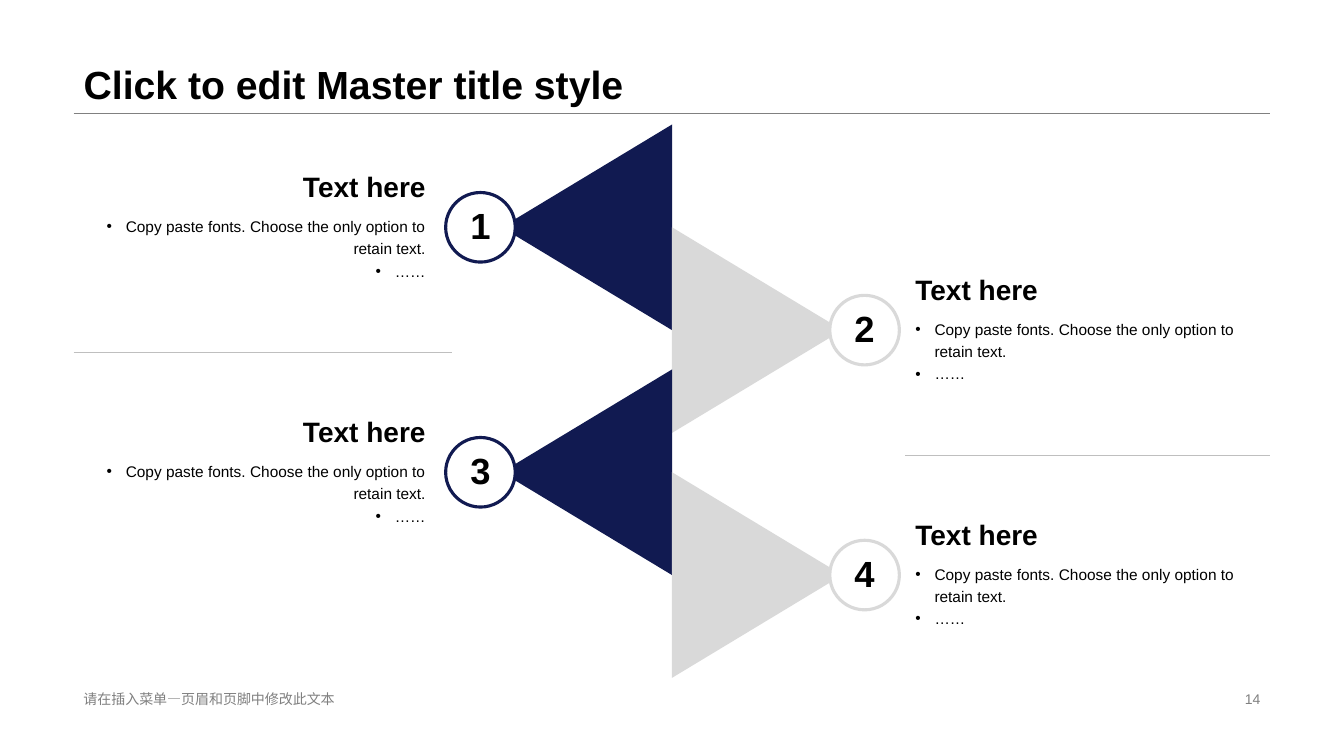
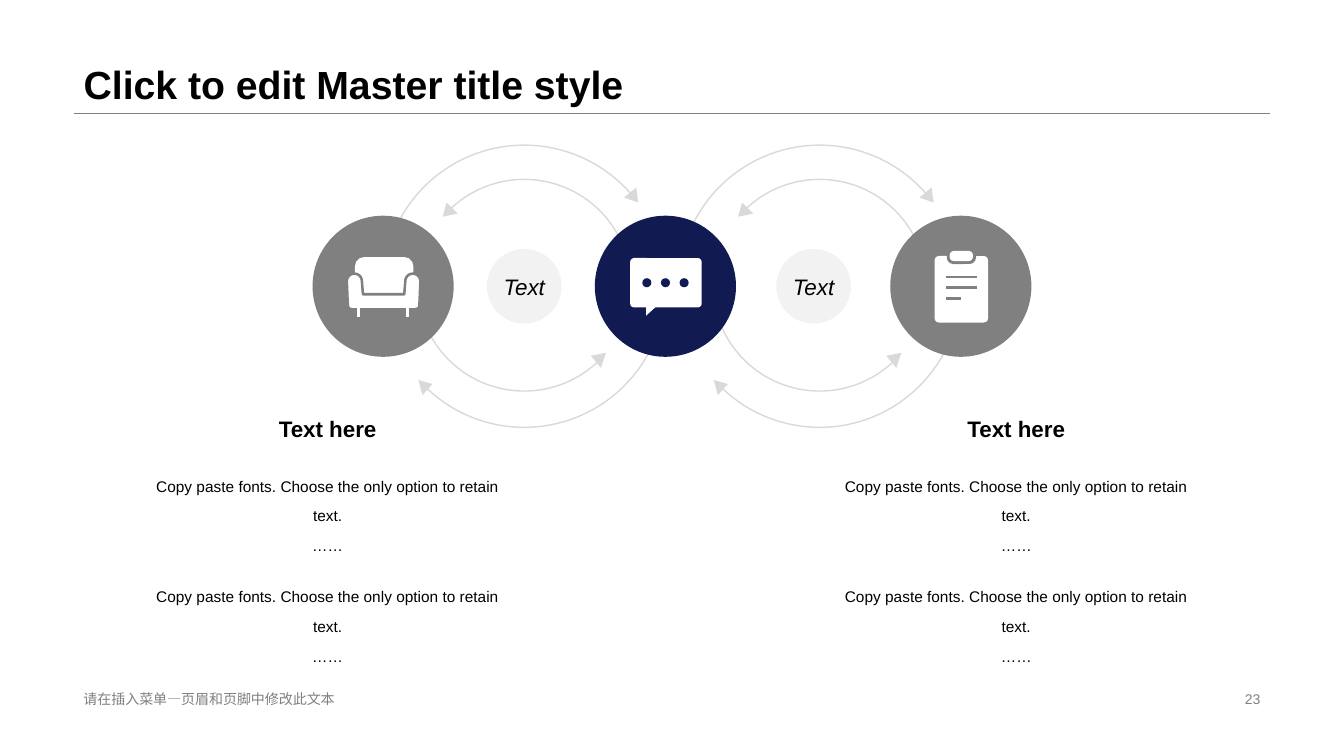
from math import cos, pi, radians, sin

from lxml.etree import SubElement
from pptx import Presentation
from pptx.dml.color import RGBColor
from pptx.enum.shapes import MSO_CONNECTOR, MSO_SHAPE as SHAPE
from pptx.enum.text import MSO_ANCHOR as ANCHOR, PP_ALIGN as ALIGN
from pptx.oxml.ns import qn
from pptx.util import Inches, Pt

NAVY, GRAY, SILVER = "111A51", "808080", "D9D9D9"
PALE, WHITE, BLACK, HAIRLINE = "F2F2F2", "FFFFFF", "000000", "BFBFBF"
LEFT, RIGHT = 0.73, 12.6
HEADING = "Text here"
LINES = ["Copy paste fonts. Choose the only option to retain text.", "……"]
color = RGBColor.from_string


def paint(shape, fill=None, line=None, width=1):
    shape.shadow.inherit = False
    if fill:
        shape.fill.solid()
        shape.fill.fore_color.rgb = color(fill)
    else:
        shape.fill.background()
    if line:
        shape.line.color.rgb = color(line)
        shape.line.width = Pt(width)
    else:
        shape.line.fill.background()


def write(shape, lines, size, align=ALIGN.LEFT, anchor=ANCHOR.TOP, ink=BLACK,
          bold=False, italic=False, spacing=1.0, bullet=False):
    frame = shape.text_frame
    frame.word_wrap = True
    frame.vertical_anchor = anchor
    frame.text = "\n".join(lines)
    for para in frame.paragraphs:
        para.alignment = align
        para.line_spacing = spacing
        if bullet:
            props = para._p.get_or_add_pPr()
            props.set("marL", str(Inches(0.19)))
            props.set("indent", str(-Inches(0.19)))
            SubElement(props, qn("a:buFont")).set("typeface", "Arial")
            SubElement(props, qn("a:buChar")).set("char", "•")
        for span in para.runs:
            span.font.name = "Arial"
            span.font.size = Pt(size)
            span.font.bold = bold
            span.font.italic = italic
            span.font.color.rgb = color(ink)


deck = Presentation()
deck.slide_width, deck.slide_height = Inches(13.33), Inches(7.5)
layout = deck.slide_layouts[5]
layout_title = layout.placeholders[0]
layout_title.left, layout_title.top = Inches(LEFT), Inches(0)
layout_title.width, layout_title.height = Inches(RIGHT - LEFT), Inches(1.12)

rules = []
for number in ("14", "23"):
    page = deck.slides.add_slide(layout)
    write(page.shapes.title, ["Click to edit Master title style"], 28,
          anchor=ANCHOR.BOTTOM, bold=True, spacing=0.9)
    rules.append((page, LEFT, RIGHT, 1.12, GRAY, 0.25))
    for left, width, text, align in (
        (LEFT, 4.53, "请在插入菜单—页眉和页脚中修改此文本", ALIGN.LEFT),
        (9.42, 3.18, number, ALIGN.RIGHT),
    ):
        box = page.shapes.add_textbox(Inches(left), Inches(6.82), Inches(width), Inches(0.23))
        write(box, [text], 10, align, ANCHOR.MIDDLE, GRAY)
steps, cycle = deck.slides

sides = [
    (4.8, 270, NAVY, 4.42, LEFT, 3.59, ALIGN.RIGHT),
    (6.49, 90, SILVER, 8.23, 8.98, 3.62, ALIGN.LEFT),
]
for index in range(4):
    row, side = divmod(index, 2)
    tip, turn, shade, badge_left, text_left, text_width, align = sides[side]
    middle = 2.25 + 2.43 * row + 1.02 * side
    triangle = steps.shapes.add_shape(
        SHAPE.ISOSCELES_TRIANGLE, Inches(tip), Inches(middle - 0.84), Inches(2.04), Inches(1.69))
    triangle.rotation = turn
    paint(triangle, shade)
    badge = steps.shapes.add_shape(
        SHAPE.OVAL, Inches(badge_left), Inches(middle - 0.34), Inches(0.69), Inches(0.69))
    paint(badge, WHITE, shade, 2.25)
    badge.text_frame.margin_left = badge.text_frame.margin_right = 0
    badge.text_frame.margin_top, badge.text_frame.margin_bottom = 0, Inches(0.05)
    write(badge, [str(index + 1)], 26, ALIGN.CENTER, ANCHOR.MIDDLE, bold=True)
    heading = steps.shapes.add_textbox(
        Inches(text_left), Inches(middle - 0.6), Inches(text_width), Inches(0.42))
    write(heading, [HEADING], 20, align, ANCHOR.BOTTOM, bold=True, spacing=0.9)
    body = steps.shapes.add_textbox(
        Inches(text_left), Inches(middle - 0.18), Inches(text_width), Inches(0.79))
    write(body, LINES, 11, align, spacing=1.2, bullet=True)
rules += [(steps, LEFT, 4.48, 3.49, HAIRLINE, 0.25), (steps, 8.98, RIGHT, 4.52, HAIRLINE, 0.25)]

for left, top, size, shade, label in (
    (3.1, 2.14, 1.4, GRAY, ""),
    (5.9, 2.14, 1.4, NAVY, ""),
    (8.83, 2.14, 1.4, GRAY, ""),
    (4.83, 2.47, 0.74, PALE, "Text"),
    (7.7, 2.47, 0.74, PALE, "Text"),
):
    disc = cycle.shapes.add_shape(
        SHAPE.OVAL, Inches(left), Inches(top), Inches(size), Inches(size))
    paint(disc, shade)
    if label:
        disc.text_frame.margin_left = disc.text_frame.margin_right = 0
        write(disc, [label], 16, ALIGN.CENTER, ANCHOR.MIDDLE, italic=True)

sofa_back = (SHAPE.ROUND_2_SAME_RECTANGLE, 3.52, 2.55, 0.58, 0.37, WHITE, 0.25)
bubble = (SHAPE.ROUNDED_RECTANGLE, 6.25, 2.56, 0.71, 0.49, WHITE, 0.08)
bubble_dots = [(SHAPE.OVAL, 6.37 + 0.185 * dot, 2.76, 0.09, 0.09, NAVY, None) for dot in range(3)]
clipboard = [
    (SHAPE.ROUNDED_RECTANGLE, 9.27, 2.54, 0.53, 0.66, WHITE, 0.08),
    (SHAPE.ROUNDED_RECTANGLE, 9.39, 2.46, 0.29, 0.16, GRAY, 0.4),
    (SHAPE.ROUNDED_RECTANGLE, 9.42, 2.49, 0.23, 0.1, WHITE, 0.4),
]
for kind, left, top, width, height, shade, rounding in [
    sofa_back, bubble, *bubble_dots, *clipboard
]:
    part = cycle.shapes.add_shape(kind, Inches(left), Inches(top), Inches(width), Inches(height))
    paint(part, shade)
    if rounding:
        part.adjustments[0] = rounding
rules += [(cycle, 9.38, end, y, GRAY, 1.8) for end, y in ((9.69, 2.75), (9.69, 2.855), (9.53, 2.96))]

arcs = [(2.84, 1.4, 180, 319), (2.82, 1.06, 45, 184), (2.84, 1.06, 225, 360), (2.84, 1.4, 0, 136)]
arrowheads = [
    [(6.31, 1.86), (6.19, 1.96), (6.33, 2.01)],
    [(5.86, 3.53), (5.96, 3.65), (6.01, 3.5)],
    [(4.54, 2.12), (4.43, 2.01), (4.39, 2.15)],
    [(4.19, 3.92), (4.29, 3.81), (4.15, 3.77)],
]
outlines = []
for shift in (0, 2.93):
    for middle, radius, start, end in arcs:
        angles = [radians(start + (end - start) * k / 48) for k in range(49)]
        curve = [(5.2 + shift + radius * cos(a), middle + radius * sin(a)) for a in angles]
        outlines.append((curve, None, SILVER, 1))
    for points in arrowheads:
        outlines.append(([(x + shift, y) for x, y in points], SILVER, None, 0))

arm = [(3.515 + 0.075 * cos(pi * k / 12), 2.79 - 0.075 * sin(pi * k / 12)) for k in range(13)]
half_sofa = [(3.6, 2.92), *arm, (3.45, 3.03), (3.46, 3.06), (3.5, 3.07)]
sofa = half_sofa + [(7.61 - x, y) for x, y in reversed(half_sofa)]
outlines.append((sofa, WHITE, GRAY, 1.8))
for x in (3.54, 4.03):
    leg = [(x, 3.05), (x + 0.03, 3.05), (x + 0.03, 3.14), (x, 3.14)]
    outlines.append((leg, WHITE, None, 0))
outlines.append(([(6.41, 3.04), (6.51, 3.04), (6.41, 3.13)], WHITE, None, 0))

for points, fill, line, width in outlines:
    corners = [(Inches(x), Inches(y)) for x, y in points]
    builder = cycle.shapes.build_freeform(*corners[0])
    builder.add_line_segments(corners[1:], close=bool(fill))
    outline = builder.convert_to_shape()
    paint(outline, fill, line, width)
    if not fill:
        cycle.shapes.element.insert(2, outline._element)

for left in (1.33, 8.16):
    heading = cycle.shapes.add_textbox(Inches(left), Inches(4.04), Inches(3.84), Inches(0.43))
    write(heading, [HEADING], 16, ALIGN.CENTER, ANCHOR.MIDDLE, bold=True)
    for top in (4.57, 5.67):
        body = cycle.shapes.add_textbox(Inches(left), Inches(top), Inches(3.84), Inches(1.05))
        write(body, LINES, 11, ALIGN.CENTER, spacing=1.6)

for page, start, end, y, shade, width in rules:
    rule = page.shapes.add_connector(
        MSO_CONNECTOR.STRAIGHT, Inches(start), Inches(y), Inches(end), Inches(y))
    rule.line.color.rgb = color(shade)
    rule.line.width = Pt(width)
    SubElement(rule._element.spPr, qn("a:effectLst"))

deck.save("out.pptx")
